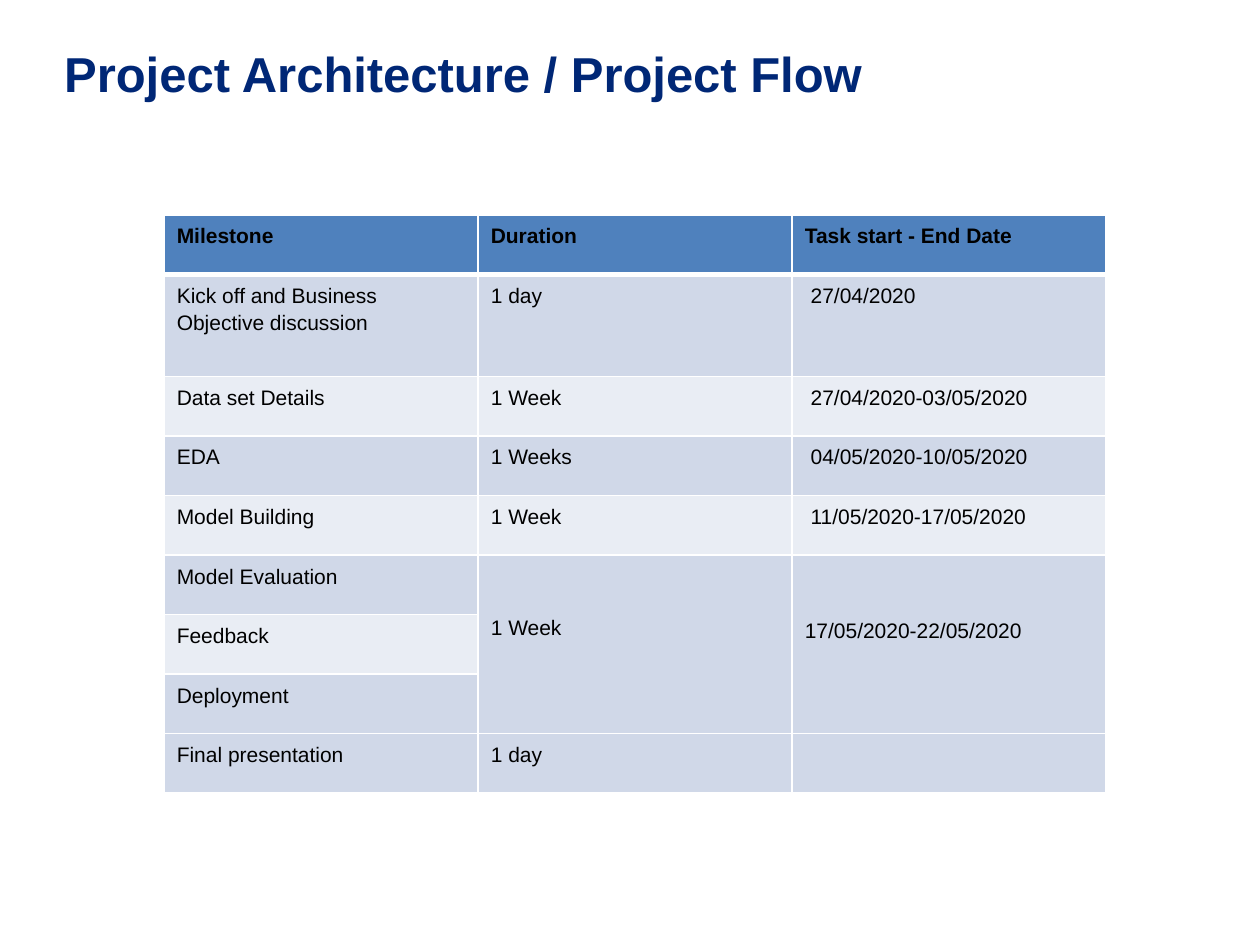
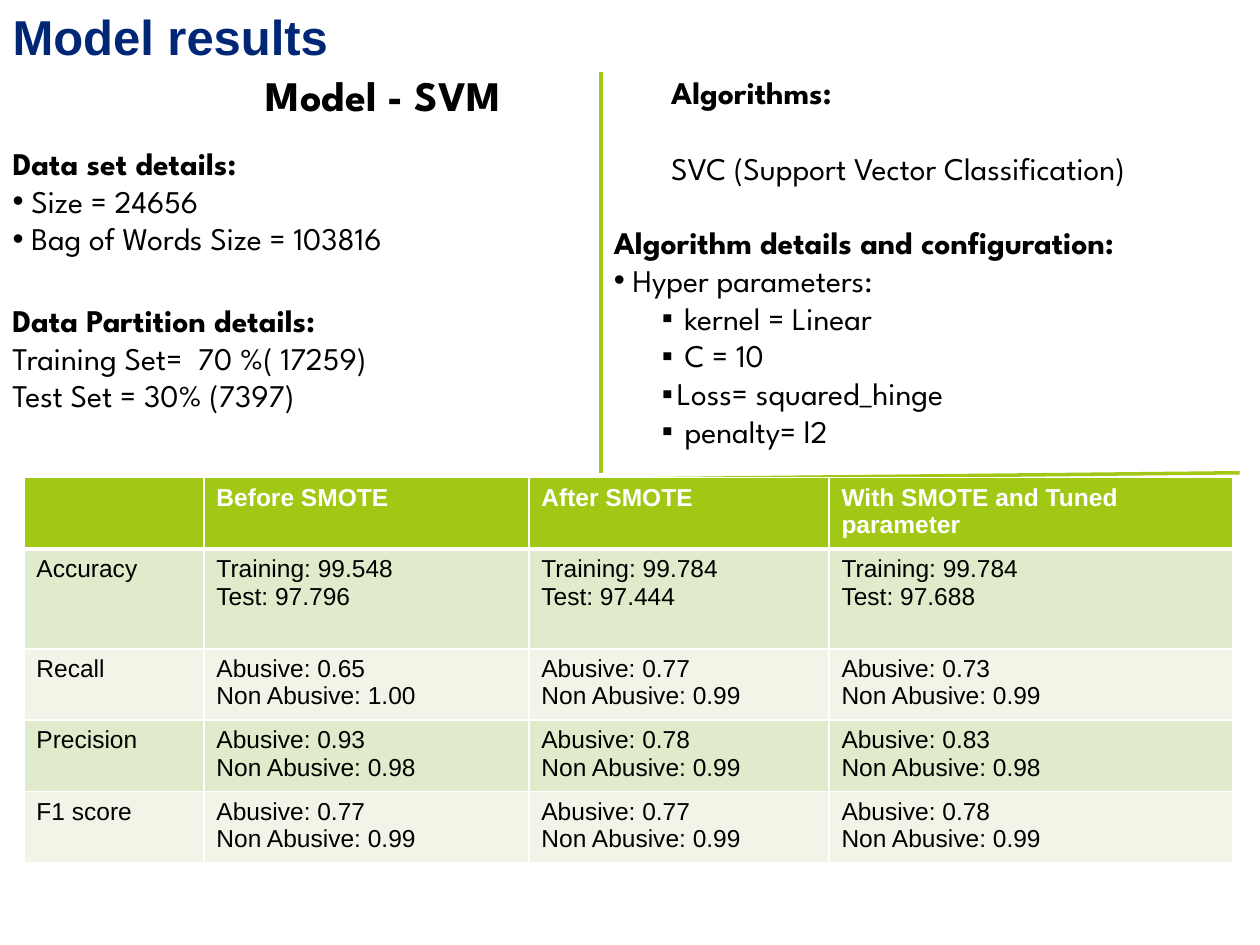
from lxml.etree import SubElement
from pptx import Presentation
from pptx.dml.color import RGBColor
from pptx.enum.shapes import MSO_CONNECTOR
from pptx.enum.text import MSO_ANCHOR, MSO_AUTO_SIZE, PP_ALIGN
from pptx.oxml.ns import qn
from pptx.util import Cm, Pt

COLORS = {
    "title": "002776", "text": "000000", "white": "FFFFFF",
    "blue": "4F81BD", "blue_band": "D0D8E8", "blue_pale": "E9EDF4",
    "green": "A2C816", "green_band": "DFEBCA", "green_pale": "F0F5E7",
}
TABLE_FONT = "Arial"
TEXT_FONT = "League Spartan"
BULLETS = {"dot": ("•", 0), "square": ("▪", 1.27)}
HANGING = 0.3
BLANK_LINE = 21.6

FLOW_TITLE = ("Project Architecture / Project Flow", (1.04, 0.74, 17.04, 1.45))
FLOW_ROWS = [
    ("Milestone", "Duration", "Task start - End Date"),
    ("Kick off and Business Objective discussion", "1 day", " 27/04/2020"),
    ("Data set Details", "1 Week", " 27/04/2020-03/05/2020"),
    ("EDA", "1 Weeks", " 04/05/2020-10/05/2020"),
    ("Model Building", "1 Week", " 11/05/2020-17/05/2020"),
    ("Model Evaluation", "1 Week", "17/05/2020-22/05/2020"),
    ("Feedback", "", ""),
    ("Deployment", "", ""),
    ("Final presentation", "1 day", ""),
]
SHARED_ROWS = (5, 7)
SHARED_TOP_MARGINS = {1: 1.17, 2: 1.22}

RESULTS_TITLE = ("Model results", (0, 0, 21.56, 1.45))
DATA_SET = [
    ("Data set details:", "heading"),
    (" Size = 24656", "dot"),
    (" Bag of Words Size = 103816", "dot"),
]
CONFIGURATION = [
    ("Algorithm details and configuration:", "heading"),
    (" Hyper parameters:", "dot"),
    (" kernel = Linear", "square"),
    (" C = 10", "square"),
    ("Loss= squared_hinge", "square"),
    (" penalty= l2", "square"),
]
LISTS = {
    1: (DATA_SET, (0, 2.77, 10.77, 2.57)),
    2: (CONFIGURATION, (12.12, 4.37, 13.28, 7.19)),
}
TEXT_BOXES = [
    ([("Data Partition details:", "heading"),
      ("Training Set=  70 %( 17259)", "plain"),
      ("Test Set = 30% (7397)", "plain")], (0, 5.94, 9.96, 2.57), 18),
    ([("Algorithms:", "heading"),
      ("SVC (Support Vector Classification)", "spaced")], (13.28, 1.35, 10.95, 2.57), 18),
    ([("Model - SVM", "heading")], (5.11, 1.27, 6.73, 1.27), 24),
]
DIVIDERS = [(12.12, 1.45, 12.12, 9.53), (0.48, 9.78, 24.99, 9.53)]
SCORES = [
    ("", "Before SMOTE", "After SMOTE", "With SMOTE and Tuned parameter"),
    ("Accuracy", "Training: 99.548\nTest: 97.796", "Training: 99.784\nTest: 97.444",
     "Training: 99.784\nTest: 97.688"),
]
CLASS_SCORES = {
    "Recall": [("0.65", "1.00"), ("0.77", "0.99"), ("0.73", "0.99")],
    "Precision": [("0.93", "0.98"), ("0.78", "0.99"), ("0.83", "0.98")],
    "F1 score": [("0.77", "0.99"), ("0.77", "0.99"), ("0.78", "0.99")],
}
for measure, pairs in CLASS_SCORES.items():
    SCORES.append((measure, *(f"Abusive: {abusive}\nNon Abusive: {other}"
                              for abusive, other in pairs)))


def color(name):
    return RGBColor.from_string(COLORS[name])


def format_runs(paragraph, font_name, size, color_name, bold):
    for run in paragraph.runs:
        run.font.name = font_name
        run.font.size = Pt(size)
        run.font.bold = bold
        run.font.color.rgb = color(color_name)


def place(shape, box):
    shape.left, shape.top, shape.width, shape.height = (Cm(value) for value in box)
    frame = shape.text_frame
    frame.word_wrap = True
    frame.auto_size = MSO_AUTO_SIZE.NONE
    frame.vertical_anchor = MSO_ANCHOR.TOP


def add_title(slide, text, box):
    title = slide.shapes.title
    place(title, box)
    title.text_frame.text = text
    paragraph = title.text_frame.paragraphs[0]
    paragraph.alignment = PP_ALIGN.LEFT
    format_runs(paragraph, TABLE_FONT, 28, "title", True)


def set_bullet(paragraph, kind):
    properties = paragraph._p.get_or_add_pPr()
    if kind not in BULLETS:
        properties.set("marL", "0")
        properties.set("indent", "0")
        SubElement(properties, qn("a:buNone"))
        return
    character, margin = BULLETS[kind]
    properties.set("marL", str(Cm(margin)))
    properties.set("indent", str(Cm(-HANGING)))
    bullet_color = SubElement(properties, qn("a:buClr"))
    SubElement(bullet_color, qn("a:srgbClr"), val=COLORS["text"])
    SubElement(properties, qn("a:buFont"), typeface=TABLE_FONT)
    SubElement(properties, qn("a:buChar"), char=character)


def fill_text(shape, lines, box, size=18):
    place(shape, box)
    frame = shape.text_frame
    frame.text = "\n".join(text for text, kind in lines)
    for paragraph, (text, kind) in zip(frame.paragraphs, lines):
        paragraph.level = 1 if kind == "square" else 0
        paragraph.space_before = Pt(BLANK_LINE if kind == "spaced" else 0)
        set_bullet(paragraph, kind)
        format_runs(paragraph, TEXT_FONT, size, "text", kind == "heading")


def set_borders(cell, row_index):
    widths = {"L": 1, "R": 1, "T": 3 if row_index == 1 else 1, "B": 3 if row_index == 0 else 1}
    properties = cell._tc.get_or_add_tcPr()
    for side, width in widths.items():
        line = SubElement(properties, qn(f"a:ln{side}"), w=str(Pt(width)))
        SubElement(SubElement(line, qn("a:solidFill")), qn("a:srgbClr"), val=COLORS["white"])


def add_grid(slide, rows, corner, widths, heights, theme, header_color, size, line_spacing):
    left, top = corner
    frame = slide.shapes.add_table(len(rows), len(widths), Cm(left), Cm(top),
                                   Cm(sum(widths)), Cm(sum(heights)))
    table = frame.table
    for column, width in zip(table.columns, widths):
        column.width = Cm(width)
    for row_index, (values, height) in enumerate(zip(rows, heights)):
        table.rows[row_index].height = Cm(height)
        is_header = row_index == 0
        band = theme if is_header else theme + ("_band" if row_index % 2 else "_pale")
        for column_index, value in enumerate(values):
            cell = table.cell(row_index, column_index)
            set_borders(cell, row_index)
            cell.fill.solid()
            cell.fill.fore_color.rgb = color(band)
            cell.text_frame.text = value
            for paragraph in cell.text_frame.paragraphs:
                paragraph.line_spacing = line_spacing
                paragraph.font.size = Pt(size)
                format_runs(paragraph, TABLE_FONT, size,
                            header_color if is_header else "text", is_header)
    return table


def add_divider(slide, ends):
    connector = slide.shapes.add_connector(MSO_CONNECTOR.STRAIGHT, *(Cm(value) for value in ends))
    connector.line.color.rgb = color("green")
    connector.line.width = Pt(2)
    SubElement(connector._element.spPr, qn("a:effectLst"))


def build_flow_slide(presentation):
    slide = presentation.slides.add_slide(presentation.slide_layouts[5])
    add_title(slide, *FLOW_TITLE)
    heights = [2.06 if index == 1 else 1.2 for index in range(len(FLOW_ROWS))]
    table = add_grid(slide, FLOW_ROWS, (3.31, 4.33), [6.33] * 3, heights,
                     "blue", "text", 12, 1.15)
    first, last = SHARED_ROWS
    for column, margin in SHARED_TOP_MARGINS.items():
        cell = table.cell(first, column)
        cell.merge(table.cell(last, column))
        cell.margin_top = Cm(margin)
    for cell in table.rows[len(FLOW_ROWS) - 1].cells:
        cell.fill.fore_color.rgb = color("blue_band")


def build_results_slide(presentation):
    slide = presentation.slides.add_slide(presentation.slide_layouts[3])
    add_title(slide, *RESULTS_TITLE)
    for index, (lines, box) in LISTS.items():
        fill_text(slide.placeholders[index], lines, box)
    for ends in DIVIDERS:
        add_divider(slide, ends)
    for lines, box, size in TEXT_BOXES:
        text_box = slide.shapes.add_textbox(*(Cm(value) for value in box))
        fill_text(text_box, lines, box, size)
    heights = [2.01 if index == 1 else 1.44 for index in range(len(SCORES))]
    add_grid(slide, SCORES, (0.48, 9.63), [3.63, 6.55, 6.05, 8.15], heights,
             "green", "white", 14, 1.0)


def main():
    presentation = Presentation()
    presentation.slide_width = Cm(25.4)
    presentation.slide_height = Cm(19.05)
    build_flow_slide(presentation)
    build_results_slide(presentation)
    presentation.save("out.pptx")


if __name__ == "__main__":
    main()
